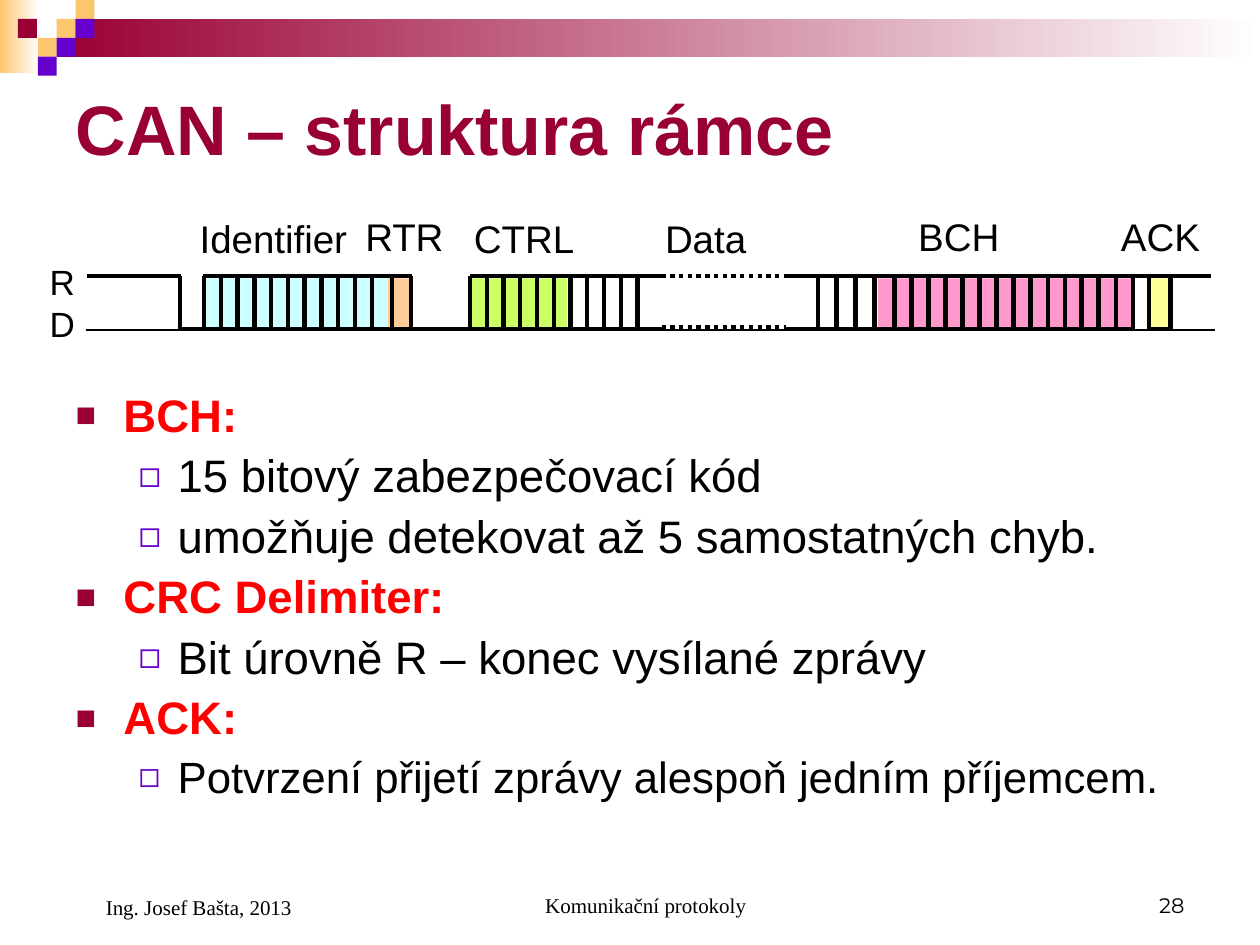
"""Build the slide on the CAN frame structure on a grid of 100 by 75 units."""
import pptx
import pptx.util
import pptx.dml.color
import pptx.enum.dml
import pptx.enum.shapes
import pptx.enum.text
import pptx.oxml
import pptx.oxml.ns
from lxml import etree

RGB = pptx.dml.color.RGBColor
BLACK = RGB(0, 0, 0)
WHITE = RGB(255, 255, 255)
RED = RGB(255, 0, 0)
WINE = RGB(0x99, 0x00, 0x33)
VIOLET = RGB(0x66, 0x00, 0xCC)
SAND = RGB(0xFC, 0xC6, 0x6E)
IDENTIFIER_BLUE = RGB(0xCC, 0xFF, 0xFF)
RTR_ORANGE = RGB(0xFF, 0xCC, 0x99)
CTRL_GREEN = RGB(0xCC, 0xFF, 0x66)
BCH_PINK = RGB(0xFF, 0x99, 0xCC)
ACK_YELLOW = RGB(0xFF, 0xFF, 0x99)

ALIGN = pptx.enum.text.PP_ALIGN
ANCHOR = pptx.enum.text.MSO_ANCHOR
RECTANGLE = pptx.enum.shapes.MSO_SHAPE.RECTANGLE
STRAIGHT = pptx.enum.shapes.MSO_CONNECTOR.STRAIGHT
DOTTED = pptx.enum.dml.MSO_LINE.ROUND_DOT

deck = pptx.Presentation()
deck.slide_width = pptx.util.Inches(10)
deck.slide_height = pptx.util.Inches(7.5)
slide = deck.slides.add_slide(deck.slide_layouts[1])
shapes = slide.shapes


def grid(*units):
    return [round(unit * deck.slide_width / 100) for unit in units]


def write(frame, text, size, font, color, align, bold=False):
    frame.word_wrap = True
    frame.text = text
    frame.paragraphs[0].alignment = align
    for run in frame.paragraphs[0].runs:
        run.font.size = pptx.util.Pt(size)
        run.font.name = font
        run.font.color.rgb = color
        run.font.bold = bold


for left, top, width, height, color in [
    (0, 0, 3.1, 5.8, SAND),
    (4.5, 1.5, 95.5, 3, WINE),
]:
    band = shapes.add_shape(RECTANGLE, *grid(left, top, width, height))
    band.shadow.inherit = False
    band.line.fill.background()
    band.fill.gradient()
    band.fill.gradient_angle = 180
    for stop, stop_color in zip(band.fill.gradient_stops, (WHITE, color)):
        stop.color.rgb = stop_color

checks = [(column * 1.5, row * 1.5, 1.5, 1.5, color) for column, row, color in [
    (3, 1, SAND), (4, 0, SAND), (4, 1, VIOLET), (2, 2, SAND),
    (0.95, 1, WINE), (3, 2, VIOLET), (2, 3, VIOLET),
]]
fields = [(left, 22.1, width, 3.9, color) for left, width, color in [
    (69.7, 20.1, BCH_PINK), (16.3, 14.8, IDENTIFIER_BLUE),
    (30.8, 1.7, RTR_ORANGE), (37.4, 7.6, CTRL_GREEN), (91, 1.7, ACK_YELLOW),
]]
for left, top, width, height, color in checks + fields:
    block = shapes.add_shape(RECTANGLE, *grid(left, top, width, height))
    block.shadow.inherit = False
    block.line.fill.background()
    block.fill.solid()
    block.fill.fore_color.rgb = color

RECESSIVE, DOMINANT = 21.9, 26.1
levels = [(6.8, 96.4, 26.2, 1, None)]
levels += [(start, end, RECESSIVE, 2.5, None) for start, end in [
    (6.9, 14.4), (16.1, 32.7), (37.3, 52.6), (62.4, 96.1)]]
levels += [(start, end, DOMINANT, 2.5, None) for start, end in [
    (14.3, 52.5), (62.4, 89.9), (91.3, 92.9)]]
levels += [(52.5, 62.4, row, 2.5, DOTTED) for row in (RECESSIVE, 26)]
signal = [(start, row, end, row, weight, dash)
          for start, end, row, weight, dash in levels]
for first, last, count in [
    (14.3, 14.3, 1), (16.2, 29.5, 11), (31.1, 32.6, 2), (37.3, 50.6, 11),
    (64.9, 69.4, 4), (71, 89.9, 15), (91.2, 92.9, 2),
]:
    step = (last - first) / max(count - 1, 1)
    for bit in range(count):
        edge = first + bit * step
        signal.append((edge, RECESSIVE, edge, 26.2, 2.5, None))

for x1, y1, x2, y2, weight, dash in signal:
    trace = shapes.add_connector(STRAIGHT, *grid(x1, y1, x2, y2))
    trace.line.color.rgb = BLACK
    trace.line.width = pptx.util.Pt(weight)
    if dash:
        trace.line.dash_style = dash
    etree.SubElement(trace._element.spPr, pptx.oxml.ns.qn("a:effectLst"))

for text, left, top, width, height, size in [
    ("Identifier", 13.8, 16.6, 15.8, 4.7, 22),
    ("RTR", 27.6, 16.4, 9, 4.7, 22),
    ("CTRL", 36.5, 16.6, 10.2, 4.7, 22),
    ("Data", 48.1, 16.6, 15.8, 4.7, 22),
    ("BCH", 71.6, 16.4, 9, 4.7, 22),
    ("ACK", 87.6, 16.4, 9, 4.7, 22),
    ("R\vD", 1, 20.2, 7.9, 7.7, 20),
]:
    label = shapes.add_textbox(*grid(left, top, width, height))
    write(label.text_frame, text, size, "Arial", BLACK, ALIGN.CENTER)

title = shapes.title
title.left, title.top, title.width, title.height = grid(5, 5, 90, 10.3)
title.text_frame.vertical_anchor = ANCHOR.MIDDLE
write(title.text_frame, "CAN – struktura rámce", 40, "Arial", WINE, ALIGN.LEFT, True)

points = [
    (0, "BCH:", 26),
    (1, "15 bitový zabezpečovací kód", 26),
    (1, "umožňuje detekovat až 5 samostatných chyb.", 26),
    (0, "CRC Delimiter:", 26),
    (1, "Bit úrovně R – konec vysílané zprávy", 26),
    (0, "ACK:", 26),
    (1, "Potvrzení přijetí zprávy alespoň jedním příjemcem.", 25),
]
bullets = [
    (3.8, 3.8, "■", WINE, 75, RED),
    (8.1, 3.1, "◻", VIOLET, 80, BLACK),
]
body = slide.placeholders[1]
body.left, body.top, body.width, body.height = grid(5, 30.7, 90.9, 36.1)
body.text_frame.auto_size = pptx.enum.text.MSO_AUTO_SIZE.NONE
body.text_frame.text = "\n".join(text for level, text, size in points)
for order, (point, (level, text, size)) in enumerate(zip(body.text_frame.paragraphs, points)):
    margin, hanging, mark, mark_color, mark_size, text_color = bullets[level]
    point.level = level
    point.line_spacing = 0.9
    point.space_before = pptx.util.Pt(6.5 if order else 0)
    properties = point._p.get_or_add_pPr()
    properties.set("marL", str(grid(margin)[0]))
    properties.set("indent", str(-grid(hanging)[0]))
    namespace = pptx.oxml.ns.nsdecls("a")
    for bullet in [
        f'<a:buClr {namespace}><a:srgbClr val="{mark_color}"/></a:buClr>',
        f'<a:buSzPct {namespace} val="{mark_size * 1000}"/>',
        f'<a:buFont {namespace} typeface="Arial"/>',
        f'<a:buChar {namespace} char="{mark}"/>',
    ]:
        properties.append(pptx.oxml.parse_xml(bullet))
    for run in point.runs:
        run.font.size = pptx.util.Pt(size)
        run.font.name = "Arial"
        run.font.bold = level == 0
        run.font.color.rgb = text_color

for text, left, width, height, inset, font, align in [
    ("Komunikační protokoly", 34.2, 31.7, 5, 3.4, "Times New Roman", ALIGN.CENTER),
    ("28", 71.7, 23.3, 5, 1, "Montserrat", ALIGN.RIGHT),
    ("Ing. Josef Bašta, 2013", 5, 23.3, 5.2, 3.4, "Times New Roman", ALIGN.LEFT),
]:
    footer = shapes.add_textbox(*grid(left, 68.3, width, height)).text_frame
    footer.vertical_anchor = ANCHOR.BOTTOM
    footer.margin_left = grid(inset)[0]
    write(footer, text, 12, font, BLACK, align)

deck.save("out.pptx")
